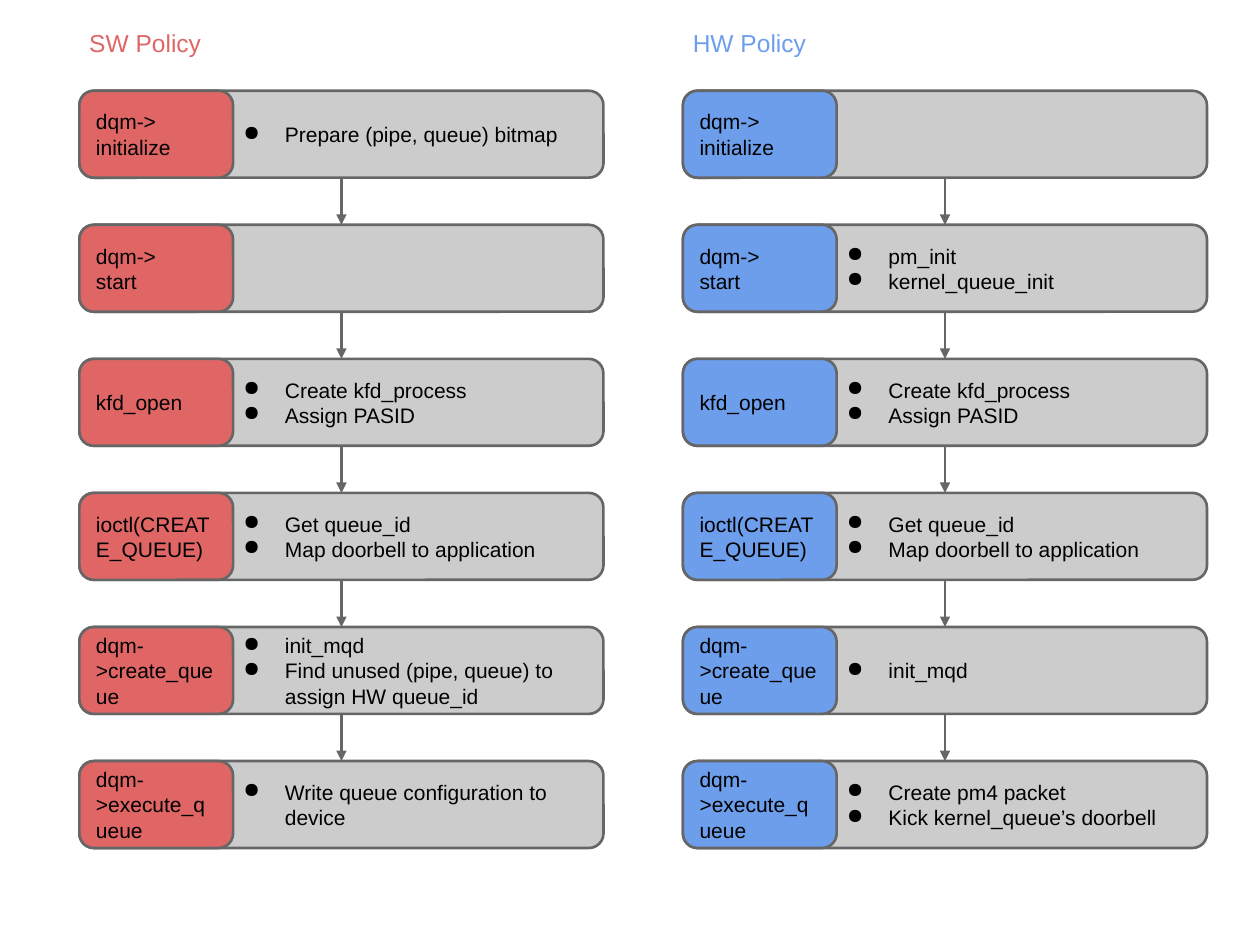
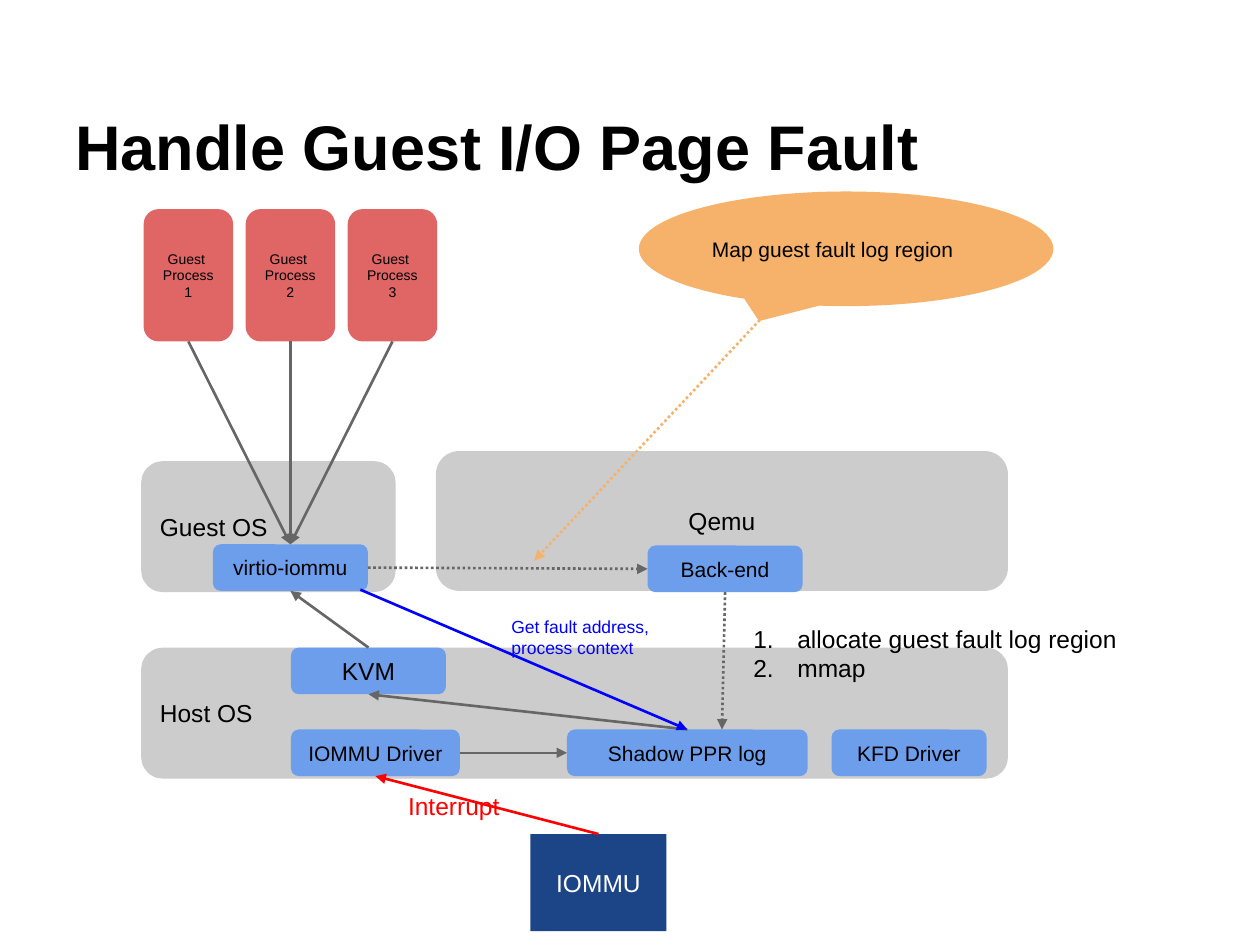
from dataclasses import dataclass

from lxml import etree
from pptx import Presentation
from pptx import util as u
from pptx.dml.color import RGBColor
from pptx.enum import dml, shapes, text
from pptx.oxml import ns

COLUMNS, ROWS = 100, 75
CELL = u.Inches(10) / COLUMNS
FONT = "Arial"
BLACK, WHITE = "000000", "FFFFFF"
GREY, ARROW = "CCCCCC", "666666"
RED, BLUE, NAVY, ORANGE = "E06666", "6D9EEB", "1C4587", "F6B26B"
ALERT, FETCH = "FF0000", "0000FF"
LEFT, CENTER = text.PP_ALIGN.LEFT, text.PP_ALIGN.CENTER
TOP, MIDDLE, BOTTOM = text.MSO_ANCHOR.TOP, text.MSO_ANCHOR.MIDDLE, text.MSO_ANCHOR.BOTTOM
ROUNDED = shapes.MSO_SHAPE.ROUNDED_RECTANGLE
ON_TOP, ON_LEFT, ON_BOTTOM, ON_RIGHT = range(4)

SW_STEPS = [
    ("dqm->\ninitialize", "Prepare (pipe, queue) bitmap"),
    ("dqm->\nstart", ""),
    ("kfd_open", "Create kfd_process\nAssign PASID"),
    ("ioctl(CREATE_QUEUE)", "Get queue_id\nMap doorbell to application"),
    ("dqm->create_queue", "init_mqd\nFind unused (pipe, queue) to assign HW queue_id"),
    ("dqm->execute_queue", "Write queue configuration to device"),
]
HW_ACTIONS = [
    "",
    "pm_init\nkernel_queue_init",
    SW_STEPS[2][1],
    SW_STEPS[3][1],
    "init_mqd",
    "Create pm4 packet\nKick kernel_queue’s doorbell",
]
HW_STEPS = [(call, actions) for (call, _), actions in zip(SW_STEPS, HW_ACTIONS)]


def cells(count):
    return u.Emu(round(count * CELL))


def rgb(code):
    return RGBColor.from_string(code)


@dataclass
class Box:
    left: float
    top: float
    width: float
    height: float

    def inner(self, column, row, width, height):
        return Box(self.left + column, self.top + row, width, height)

    def point(self, column, row):
        return cells(self.left + column), cells(self.top + row)

    def emu(self):
        return [cells(n) for n in (self.left, self.top, self.width, self.height)]


def add_marker(paragraph, indent, hanging, tag, **attributes):
    properties = paragraph._p.get_or_add_pPr()
    properties.set("marL", str(cells(indent)))
    properties.set("indent", str(-cells(hanging)))
    colour = etree.SubElement(properties, ns.qn("a:buClr"))
    etree.SubElement(colour, ns.qn("a:srgbClr"), val=BLACK)
    etree.SubElement(properties, ns.qn(tag), **attributes)


def write(shape, words, size, colour=BLACK, align=LEFT, anchor=MIDDLE, bold=False):
    frame = shape.text_frame
    frame.word_wrap = True
    frame.vertical_anchor = anchor
    frame.margin_left = frame.margin_right = cells(1)
    frame.margin_top = frame.margin_bottom = cells(1)
    frame.text = words
    for paragraph in frame.paragraphs:
        paragraph.alignment = align
        for run in paragraph.runs:
            run.font.name, run.font.size, run.font.bold = FONT, u.Pt(size), bold
            run.font.color.rgb = rgb(colour)
    return frame.paragraphs


def block(slide, box, fill, words="", size=12, align=CENTER, outline=None,
          colour=BLACK, preset=ROUNDED):
    shape = slide.shapes.add_shape(preset, *box.emu())
    shape.shadow.inherit = False
    shape.fill.solid()
    shape.fill.fore_color.rgb = rgb(fill)
    if outline:
        shape.line.color.rgb = rgb(outline)
        shape.line.width = u.Pt(1.5)
    else:
        shape.line.fill.background()
    if words:
        write(shape, words, size, colour, align)
    return shape


def label(slide, box, words, size, colour=BLACK, anchor=TOP, bold=False):
    return write(slide.shapes.add_textbox(*box.emu()), words, size, colour,
                 anchor=anchor, bold=bold)


def side_middle(shape, side):
    across = {ON_LEFT: 0, ON_RIGHT: 2}.get(side, 1)
    down = {ON_TOP: 0, ON_BOTTOM: 2}.get(side, 1)
    return shape.left + shape.width * across // 2, shape.top + shape.height * down // 2


def arrow(slide, start, end, colour=ARROW, dotted=False):
    joined = [not isinstance(place[0], int) for place in (start, end)]
    points = [side_middle(*place) if joint else place
              for place, joint in zip((start, end), joined)]
    link = slide.shapes.add_connector(shapes.MSO_CONNECTOR.STRAIGHT, *points[0], *points[1])
    if joined[0]:
        link.begin_connect(*start)
    if joined[1]:
        link.end_connect(*end)
    link.line.color.rgb = rgb(colour)
    link.line.width = u.Pt(1.5)
    if dotted:
        link.line.dash_style = dml.MSO_LINE.ROUND_DOT
    etree.SubElement(link.line._get_or_add_ln(), ns.qn("a:tailEnd"), type="triangle")
    etree.SubElement(link._element.spPr, ns.qn("a:effectLst"))


def policy_flow(slide, box, heading, colour, steps):
    row_height, call_width = 6.9, 12.2
    pitch = (box.height - row_height) / (len(steps) - 1)
    rows = []
    for index, (call, actions) in enumerate(steps):
        row = box.inner(0, index * pitch, box.width, row_height)
        bar = block(slide, row, GREY, actions, align=LEFT, outline=ARROW)
        if actions:
            for paragraph in bar.text_frame.paragraphs:
                add_marker(paragraph, 15, 3.3, "a:buChar", char="●")
        block(slide, row.inner(0, 0, call_width, row_height), colour, call,
              align=LEFT, outline=ARROW)
        rows.append(bar)
    for upper, lower in zip(rows, rows[1:]):
        arrow(slide, (upper, ON_BOTTOM), (lower, ON_TOP))
    label(slide, box.inner(-0.2, -6, 12.5, 4.5), heading, 14, colour)


def host_region(slide, box):
    block(slide, box, GREY, "Host OS", 14, LEFT)
    height, lower_row = 3.7, 6.5
    block(slide, box.inner(54.8, lower_row, 12.3, height), BLUE, "KFD Driver")
    kvm = block(slide, box.inner(11.9, 0, 12.3, height), BLUE, "KVM", 14)
    driver = block(slide, box.inner(11.9, lower_row, 13.4, height), BLUE, "IOMMU Driver")
    fault_log = block(slide, box.inner(33.8, lower_row, 19.1, height), BLUE, "Shadow PPR log")
    arrow(slide, (driver, ON_RIGHT), (fault_log, ON_LEFT))
    return kvm, driver, fault_log


def guest_region(slide, box):
    block(slide, box.inner(0, 20, box.width, 10.4), GREY, "Guest OS", 14, LEFT)
    virtio = block(slide, box.inner(5.7, 26.6, 12.3, 3.7), BLUE, "virtio-iommu")
    for index, process in enumerate(["Process1", "Process\n2", "Process\n3"]):
        guest = block(slide, box.inner(0.2 + index * 8.1, 0, 7.1, 10.5), RED,
                      f"Guest \n{process}", 8)
        arrow(slide, (guest, ON_BOTTOM), (virtio, ON_TOP))
    return virtio


def qemu_region(slide, box):
    block(slide, box, GREY, "Qemu", 14)
    return block(slide, box.inner(16.8, 7.5, 12.3, 3.7), BLUE, "Back-end")


def mapping_callout(slide, box):
    bubble = block(slide, box, ORANGE, "Map guest fault log region", align=LEFT,
                   preset=shapes.MSO_SHAPE.OVAL_CALLOUT)
    bubble.adjustments[0], bubble.adjustments[1] = -0.21, 0.63
    arrow(slide, box.point(9.6, 10.2), box.point(-8.3, 29.3), ORANGE, dotted=True)


def mapping_steps(slide, box, back_end):
    arrow(slide, (back_end, ON_BOTTOM), box.point(0, 9.4), dotted=True)
    for paragraph in label(slide, box, "allocate guest fault log region\nmmap", 14):
        add_marker(paragraph, 5, 3.5, "a:buAutoNum", type="arabicPeriod")


def interrupt_source(slide, box, driver):
    iommu = block(slide, box, NAVY, "IOMMU", 14, colour=WHITE,
                  preset=shapes.MSO_SHAPE.RECTANGLE)
    arrow(slide, (iommu, ON_TOP), (driver, ON_BOTTOM), ALERT)
    label(slide, box.inner(-10.7, -3.8, 12.3, 1.4), "Interrupt", 14, ALERT)


def fault_path(slide, box, virtio, kvm, fault_log):
    arrow(slide, (kvm, ON_TOP), (virtio, ON_BOTTOM))
    arrow(slide, (fault_log, ON_TOP), (kvm, ON_BOTTOM))
    arrow(slide, box.point(0, 0), (fault_log, ON_TOP), FETCH)
    label(slide, box.inner(11, 1.1, 14.5, 2.6), "Get fault address, process context", 10, FETCH)


def policy_slide(slide):
    policy_flow(slide, Box(6.3, 7.2, 41.6, 60.1), "SW Policy", RED, SW_STEPS)
    policy_flow(slide, Box(54.2, 7.2, 41.6, 60.1), "HW Policy", BLUE, HW_STEPS)


def page_fault_slide(slide):
    label(slide, Box(5, 3, 90, 12.5), "Handle Guest I/O Page Fault", 36,
          anchor=BOTTOM, bold=True)
    kvm, driver, fault_log = host_region(slide, Box(11.2, 51.4, 68.8, 10.4))
    virtio = guest_region(slide, Box(11.2, 16.6, 20.2, 30.4))
    back_end = qemu_region(slide, Box(34.6, 35.8, 45.4, 11.1))
    arrow(slide, (virtio, ON_RIGHT), (back_end, ON_LEFT), dotted=True)
    mapping_callout(slide, Box(50.7, 15.2, 32.9, 9.1))
    mapping_steps(slide, Box(57.3, 48.5, 39.2, 4.1), back_end)
    interrupt_source(slide, Box(42.1, 66.2, 10.8, 7.7), driver)
    fault_path(slide, Box(28.6, 46.8, 25.9, 11.1), virtio, kvm, fault_log)


def main():
    deck = Presentation()
    deck.slide_width, deck.slide_height = cells(COLUMNS), cells(ROWS)
    for build in (policy_slide, page_fault_slide):
        build(deck.slides.add_slide(deck.slide_layouts[6]))
    deck.save("out.pptx")


if __name__ == "__main__":
    main()
